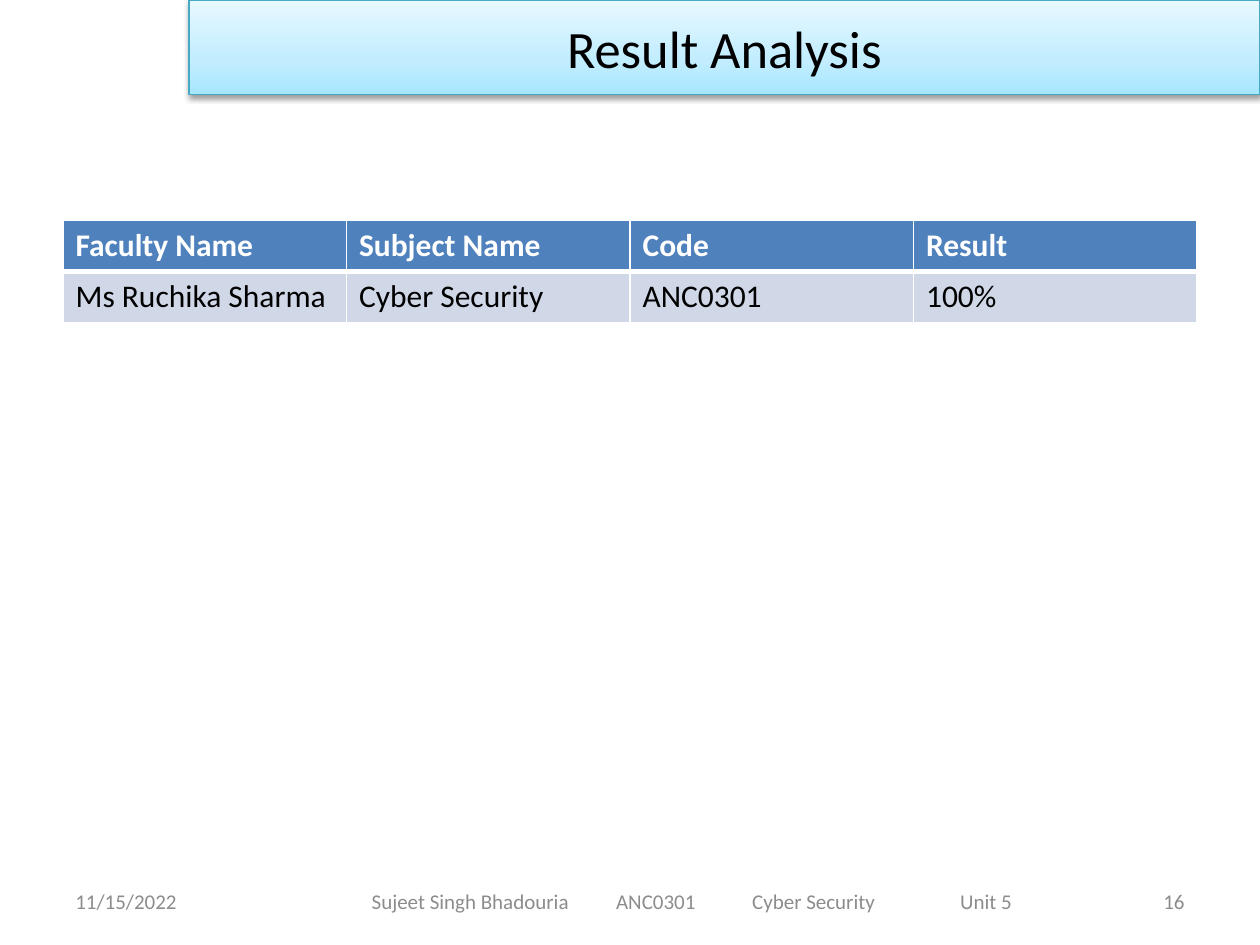
import lxml.etree
import pptx
import pptx.dml.color
import pptx.enum.text
import pptx.oxml
import pptx.oxml.ns
import pptx.util
from pptx.util import Inches

FONT = "Calibri"
GREY = "8C8C8C"
ALIGN = pptx.enum.text.PP_ALIGN
NAMESPACE = pptx.oxml.ns.nsdecls("a")


def color(hex_string):
    return pptx.dml.color.RGBColor.from_string(hex_string)


def write_text(frame, text, size=12, fill="000000", bold=False,
               align=ALIGN.LEFT, tabs=()):
    """Put one formatted paragraph in a text frame."""
    frame.word_wrap = True
    paragraph = frame.paragraphs[0]
    paragraph.text = text
    paragraph.alignment = align
    if tabs:
        properties = paragraph._p.get_or_add_pPr()
        tab_list = lxml.etree.SubElement(properties, pptx.oxml.ns.qn("a:tabLst"))
        for position in tabs:
            lxml.etree.SubElement(tab_list, pptx.oxml.ns.qn("a:tab"),
                                  pos=str(Inches(position)), algn="l")
    for run in paragraph.runs:
        run.font.name = FONT
        run.font.size = pptx.util.Pt(size)
        run.font.bold = bold
        run.font.color.rgb = color(fill)


def place_title(slide, text, left, top, width, height):
    shape = slide.shapes.title
    shape.left, shape.top = Inches(left), Inches(top)
    shape.width, shape.height = Inches(width), Inches(height)
    # Gradient, lightest at the top
    stops = "".join(
        f'<a:gs pos="{position * 1000}"><a:srgbClr val="{value}"/></a:gs>'
        for position, value in ((0, "A7E6FF"), (35, "C1EDFF"), (100, "E7F8FF")))
    shape._element.spPr.append(pptx.oxml.parse_xml(
        f'<a:gradFill {NAMESPACE} rotWithShape="1"><a:gsLst>{stops}</a:gsLst>'
        '<a:lin ang="16200000" scaled="0"/></a:gradFill>'))
    shape.line.color.rgb = color("46AAC5")
    shape.line.width = pptx.util.Pt(0.75)
    # Soft shadow below
    shape._element.spPr.append(pptx.oxml.parse_xml(
        f'<a:effectLst {NAMESPACE}><a:outerShdw blurRad="40000" dist="20000" '
        'dir="5400000" rotWithShape="0"><a:srgbClr val="000000">'
        '<a:alpha val="38000"/></a:srgbClr></a:outerShdw></a:effectLst>'))
    shape.text_frame.vertical_anchor = pptx.enum.text.MSO_ANCHOR.MIDDLE
    write_text(shape.text_frame, text, size=30, align=ALIGN.CENTER)


def set_borders(cell, **widths):
    properties = cell._tc.get_or_add_tcPr()
    for side in "LRTB":
        width = pptx.util.Pt(widths.get(side, 1))
        properties.append(pptx.oxml.parse_xml(
            f'<a:ln{side} {NAMESPACE} w="{width}"><a:solidFill>'
            f'<a:srgbClr val="FFFFFF"/></a:solidFill></a:ln{side}>'))


def place_results(slide, rows, left, top, width, height):
    table = slide.shapes.add_table(
        len(rows), len(rows[0]), Inches(left), Inches(top),
        Inches(width), Inches(height)).table
    for row_index, row in enumerate(rows):
        header = row_index == 0
        for column_index, text in enumerate(row):
            cell = table.cell(row_index, column_index)
            # Thick rule between header and body
            set_borders(cell, **({"B": 3} if header else {"T": 3}))
            cell.fill.solid()
            cell.fill.fore_color.rgb = color("4F81BD" if header else "D0D8E8")
            write_text(cell.text_frame, text, size=18, bold=header,
                       fill="FFFFFF" if header else "000000")


def place_footer(slide, left, top, width, height):
    side_width, middle_left, middle_width = 2.33, 2.25, 5.5
    parts = (
        ("11/15/2022", 0, side_width, 0.1, ALIGN.LEFT, ()),
        ("16", width - side_width, side_width, 0.1, ALIGN.RIGHT, ()),
        ("Sujeet Singh Bhadouria\tANC0301\tCyber Security\tUnit 5",
         middle_left, middle_width, 0.2, ALIGN.LEFT, (1.94, 3.02, 4.67)),
    )
    for text, offset, part_width, inset, align, tabs in parts:
        box = slide.shapes.add_textbox(Inches(left + offset), Inches(top),
                                       Inches(part_width), Inches(height))
        box.text_frame.margin_left = Inches(inset)
        box.text_frame.vertical_anchor = pptx.enum.text.MSO_ANCHOR.MIDDLE
        write_text(box.text_frame, text, fill=GREY, align=align, tabs=tabs)


def main():
    presentation = pptx.Presentation()
    presentation.slide_width = Inches(10)
    presentation.slide_height = Inches(7.5)
    slide = presentation.slides.add_slide(presentation.slide_layouts[5])
    place_title(slide, "Result Analysis", 1.5, 0, 8.5, 0.75)
    place_results(slide, (
        ("Faculty Name", "Subject Name", "Code", "Result"),
        ("Ms Ruchika Sharma", "Cyber Security", "ANC0301", "100%"),
    ), 0.5, 1.75, 9, 0.81)
    place_footer(slide, 0.5, 6.95, 9, 0.4)
    presentation.save("out.pptx")


if __name__ == "__main__":
    main()
